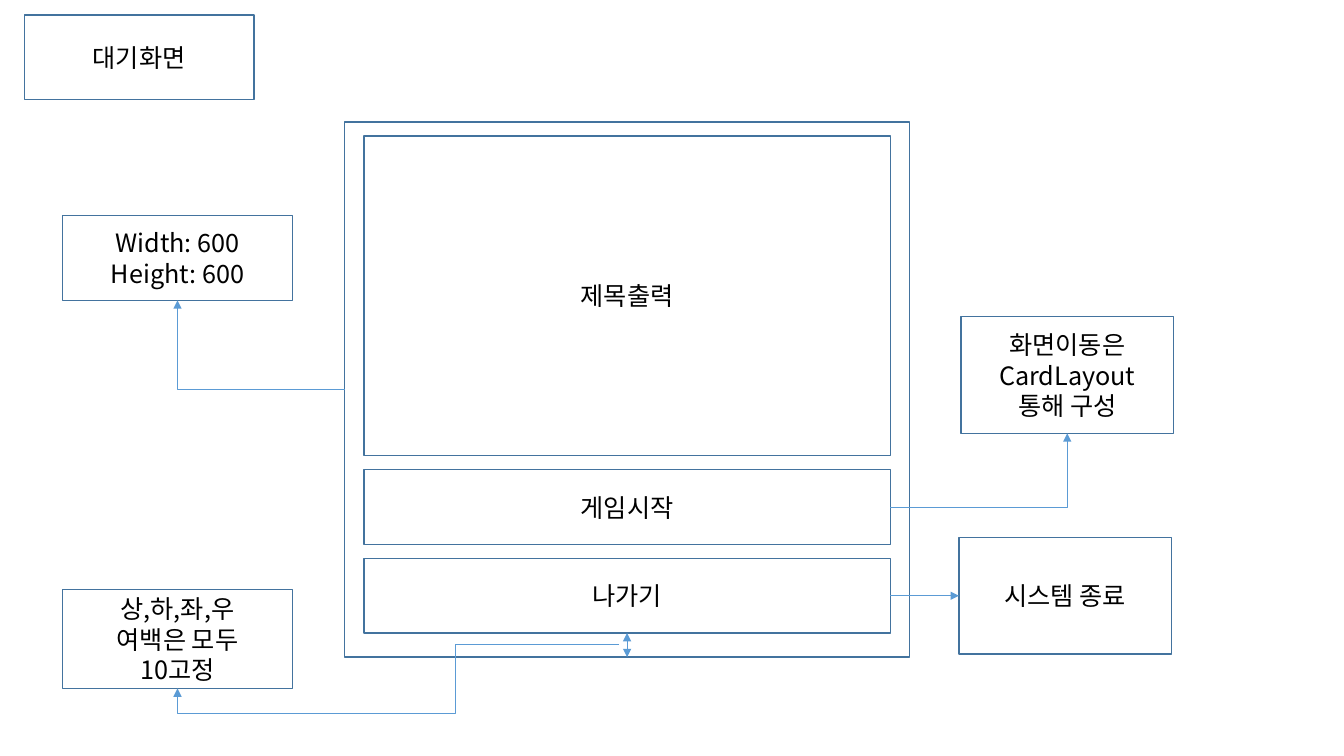
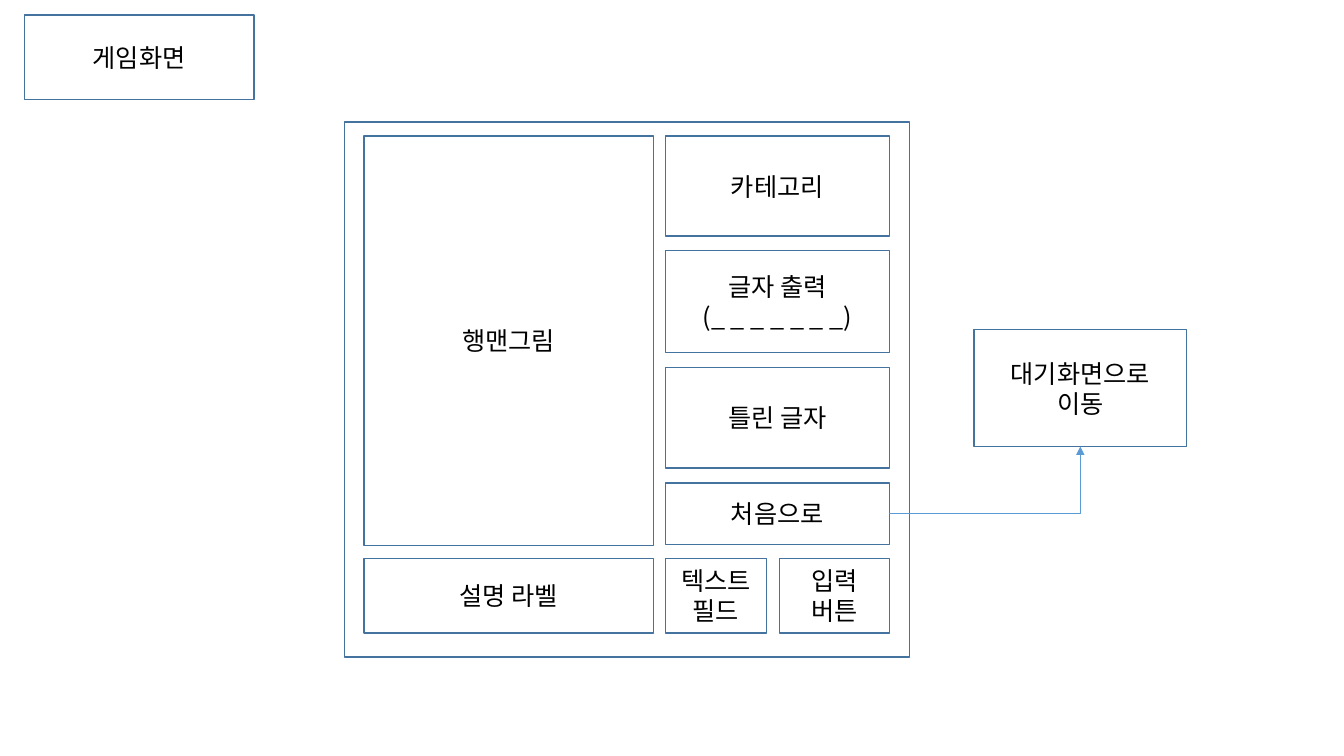
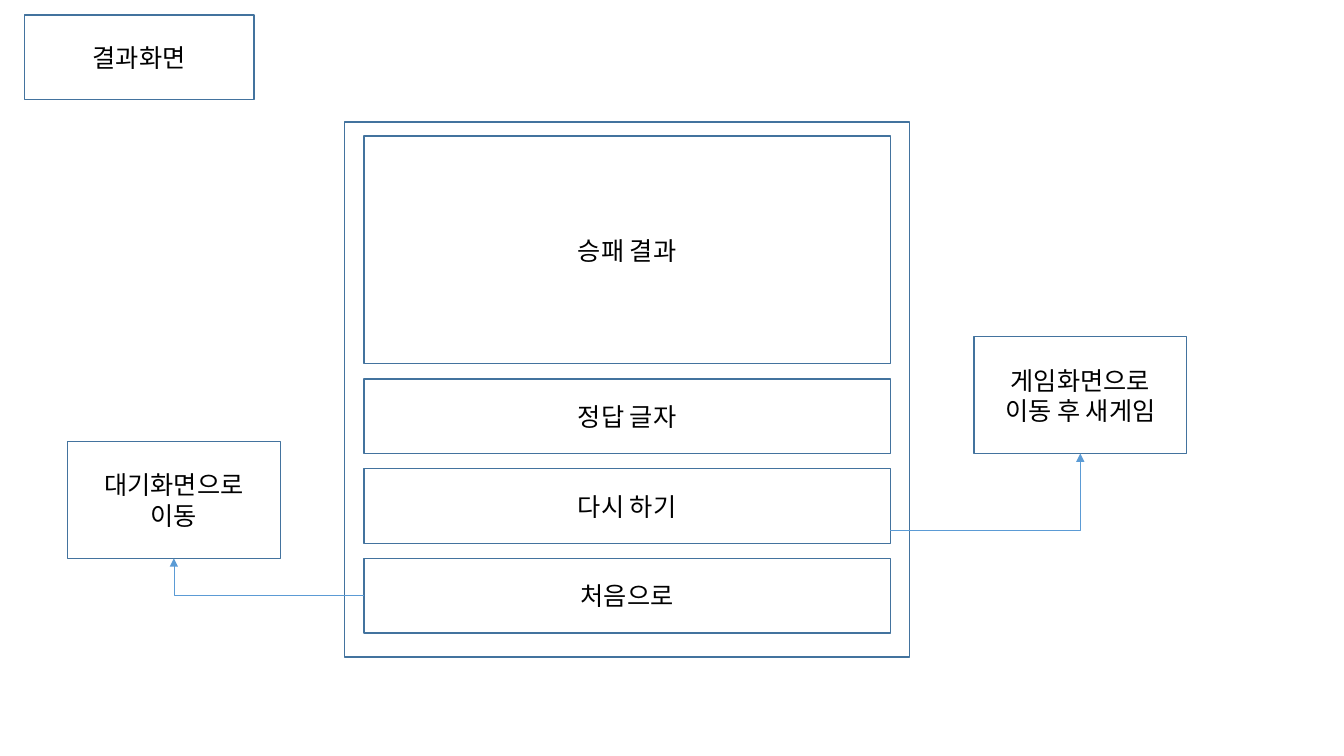
import pptx
import pptx.dml.color
import pptx.enum.shapes
import pptx.enum.text
import pptx.oxml
import pptx.oxml.ns
import pptx.util

FONT = "Noto Sans CJK KR"
TEXT, PAPER, OUTLINE, ARROW = "000000", "FFFFFF", "43739E", "5B9BD5"
TOP_SITE, LEFT_SITE, BOTTOM_SITE, RIGHT_SITE = range(4)
PANEL_LEFT, PANEL_TOP, PANEL_WIDTH, PANEL_BOTTOM = 3.61, 1.35, 5.22, 6.28
BUTTON_HEIGHT = 0.74
NOTE_SIZE = (2.11, 1.16)
qn = pptx.oxml.ns.qn
Inches = pptx.util.Inches


def paint(color_format, color):
    color_format.rgb = pptx.dml.color.RGBColor.from_string(color)


def style_box(box, label):
    box.fill.solid()
    paint(box.fill.fore_color, PAPER)
    paint(box.line.color, OUTLINE)
    box.line.width = pptx.util.Pt(1)
    frame = box.text_frame
    frame.text = label
    frame.word_wrap = True
    frame.auto_size = pptx.enum.text.MSO_AUTO_SIZE.NONE
    frame.vertical_anchor = pptx.enum.text.MSO_ANCHOR.MIDDLE
    for paragraph in frame.paragraphs:
        paragraph.alignment = pptx.enum.text.PP_ALIGN.CENTER
        for run in paragraph.runs:
            run.font.size = pptx.util.Pt(18)
            run.font.name = FONT
            paint(run.font.color, TEXT)
            east_asian = pptx.oxml.parse_xml(
                f'<a:ea {pptx.oxml.ns.nsdecls("a")} typeface="{FONT}"/>')
            run.font._element.append(east_asian)


def add_box(slide, left, top, width, height, label=""):
    box = slide.shapes.add_shape(
        pptx.enum.shapes.MSO_SHAPE.RECTANGLE,
        Inches(left), Inches(top), Inches(width), Inches(height))
    box.shadow.inherit = False
    style_box(box, label)
    return box


def add_stack(slide, left, width, rows, bottom=PANEL_BOTTOM):
    free = bottom - PANEL_TOP - sum(height for label, height in rows)
    gap = free / (len(rows) - 1)
    top = PANEL_TOP
    boxes = []
    for label, height in rows:
        boxes.append(add_box(slide, left, top, width, height, label))
        top += height + gap
    return boxes


def add_arrow(slide, start, target, site, preset="bentConnector2", adjust=(), double=False):
    arrow = slide.shapes.add_connector(
        pptx.enum.shapes.MSO_CONNECTOR.ELBOW, 0, 0, 0, 0)
    origin, position = start
    if isinstance(origin, float):
        arrow.begin_x, arrow.begin_y = Inches(origin), Inches(position)
    else:
        arrow.begin_connect(origin, position)
    arrow.end_connect(target, site)
    paint(arrow.line.color, ARROW)
    arrow.line.width = pptx.util.Pt(0.5)

    properties = arrow._element.spPr
    geometry = properties.find(qn("a:prstGeom"))
    geometry.set("prst", preset)
    guides = geometry.find(qn("a:avLst"))
    for number, value in enumerate(adjust, 1):
        guide = guides.makeelement(
            qn("a:gd"), {"name": f"adj{number}", "fmla": f"val {value}"})
        guides.append(guide)

    transform = properties.find(qn("a:xfrm"))
    if transform.flipH:
        transform.flipH = False
        transform.flipV = not transform.flipV
        transform.set("rot", "10800000")

    line = properties.find(qn("a:ln"))
    for end in (["headEnd"] if double else []) + ["tailEnd"]:
        line.append(line.makeelement(qn(f"a:{end}"), {"type": "triangle"}))
    properties.append(properties.makeelement(qn("a:effectLst"), {}))


def add_screen(deck, name):
    slide = deck.slides.add_slide(deck.slide_layouts[5])
    title = slide.shapes.title
    title.left, title.top = Inches(0.24), Inches(0.15)
    title.width, title.height = Inches(2.28), Inches(0.84)
    style_box(title, name)
    window = add_box(slide, 3.42, 1.21, 5.6, 5.31)
    return slide, window


def build_waiting_screen(deck):
    slide, window = add_screen(deck, "대기화면")
    heading, start_button, exit_button = add_stack(slide, PANEL_LEFT, PANEL_WIDTH, [
        ("제목출력", 3.17), ("게임시작", BUTTON_HEIGHT), ("나가기", BUTTON_HEIGHT)])
    window_size = add_box(slide, 0.62, 2.14, 2.28, 0.84, "Width: 600\nHeight: 600")
    navigation = add_box(slide, 9.53, 3.14, *NOTE_SIZE, "화면이동은\nCardLayout\n통해 구성")
    margins = add_box(slide, 0.62, 5.85, 2.28, 0.98, "상,하,좌,우\n여백은 모두\n10고정")
    shutdown = add_box(slide, 9.51, 5.33, *NOTE_SIZE, "시스템 종료")
    add_arrow(slide, (window, LEFT_SITE), window_size, BOTTOM_SITE)
    add_arrow(slide, (start_button, RIGHT_SITE), navigation, BOTTOM_SITE)
    add_arrow(slide, (exit_button, BOTTOM_SITE), window, BOTTOM_SITE,
              "straightConnector1", double=True)
    add_arrow(slide, (6.14, 6.39), margins, BOTTOM_SITE,
              "bentConnector4", adjust=(37000, 155700))
    add_arrow(slide, (exit_button, RIGHT_SITE), shutdown, LEFT_SITE, "straightConnector1")


def build_game_screen(deck):
    slide, window = add_screen(deck, "게임화면")
    add_stack(slide, PANEL_LEFT, 2.87, [("행맨그림", 4.06), ("설명 라벨", BUTTON_HEIGHT)])
    right_column = add_stack(slide, 6.6, 2.22, [
        ("카테고리", 0.99), ("글자 출력\n(_ _ _ _ _ _ _)", 1.01),
        ("틀린 글자", 1), ("처음으로", 0.61)], bottom=5.4)
    input_top = PANEL_BOTTOM - BUTTON_HEIGHT
    add_box(slide, 6.6, input_top, 1, BUTTON_HEIGHT, "텍스트필드")
    add_box(slide, 7.73, input_top, 1.09, BUTTON_HEIGHT, "입력\n버튼")
    to_waiting = add_box(slide, 9.66, 3.27, *NOTE_SIZE, "대기화면으로\n이동")
    add_arrow(slide, (right_column[-1], RIGHT_SITE), to_waiting, BOTTOM_SITE)


def build_result_screen(deck):
    slide, window = add_screen(deck, "결과화면")
    outcome, answer, retry, home = add_stack(slide, PANEL_LEFT, PANEL_WIDTH, [
        ("승패 결과", 2.26), ("정답 글자", BUTTON_HEIGHT),
        ("다시 하기", BUTTON_HEIGHT), ("처음으로", BUTTON_HEIGHT)])
    to_game = add_box(slide, 9.66, 3.34, *NOTE_SIZE, "게임화면으로\n이동 후 새게임")
    to_waiting = add_box(slide, 0.67, 4.38, *NOTE_SIZE, "대기화면으로\n이동")
    add_arrow(slide, (8.83, 5.26), to_game, BOTTOM_SITE)
    add_arrow(slide, (home, LEFT_SITE), to_waiting, BOTTOM_SITE)


def main():
    deck = pptx.Presentation()
    deck.slide_width, deck.slide_height = Inches(13.33), Inches(7.5)
    build_waiting_screen(deck)
    build_game_screen(deck)
    build_result_screen(deck)
    deck.save("out.pptx")


if __name__ == "__main__":
    main()
